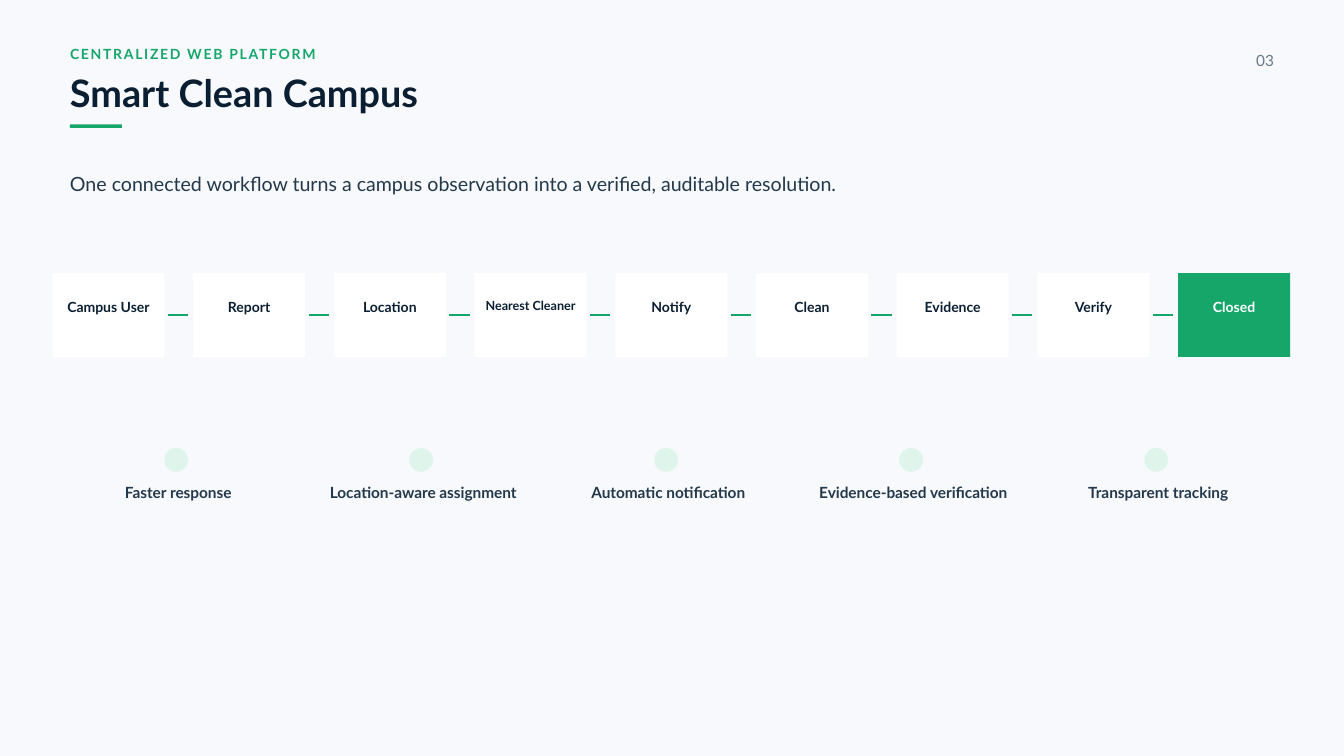
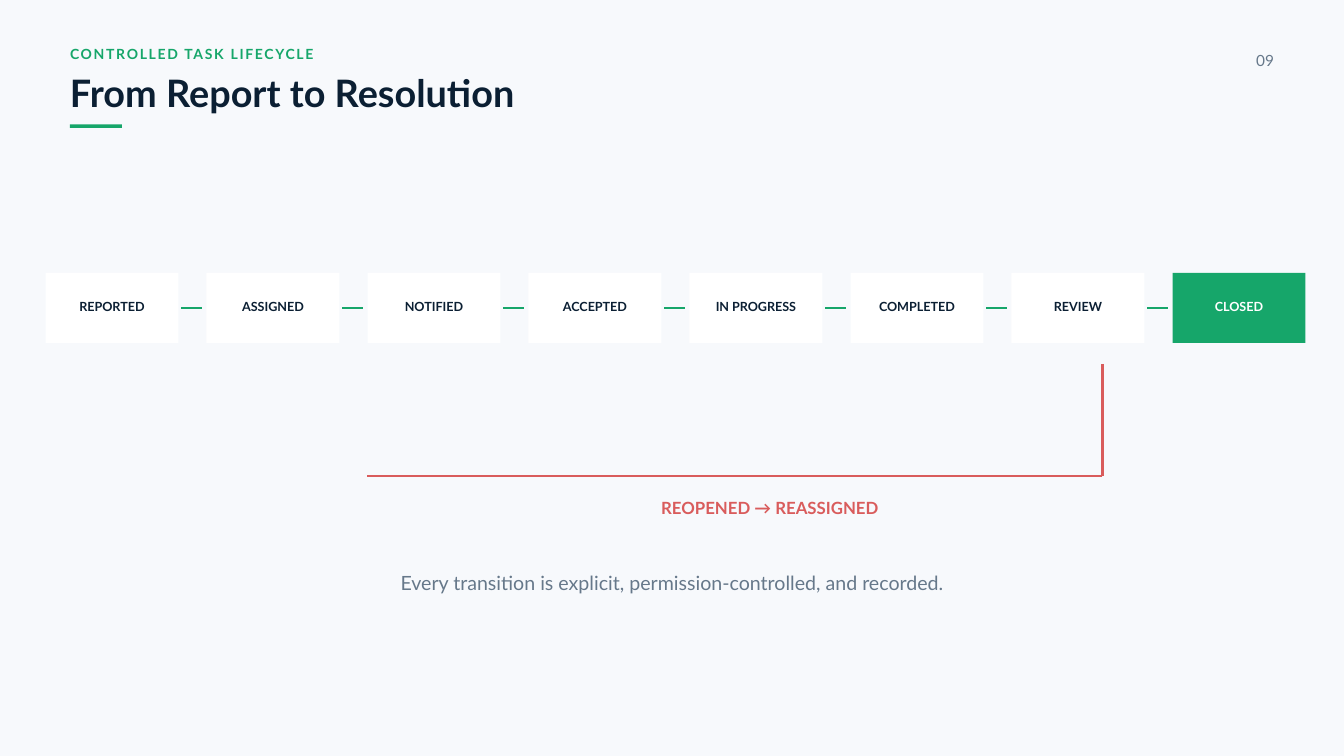
from dataclasses import dataclass

from lxml import etree
from pptx import Presentation
from pptx.dml.color import RGBColor
from pptx.enum.shapes import MSO_CONNECTOR, MSO_SHAPE
from pptx.enum.text import MSO_AUTO_SIZE, PP_ALIGN
from pptx.oxml.ns import qn
from pptx.util import Pt

STRAIGHT = MSO_CONNECTOR.STRAIGHT
RECTANGLE, OVAL = MSO_SHAPE.RECTANGLE, MSO_SHAPE.OVAL
LEFT, CENTER, RIGHT = PP_ALIGN.LEFT, PP_ALIGN.CENTER, PP_ALIGN.RIGHT
GROW = MSO_AUTO_SIZE.SHAPE_TO_FIT_TEXT

FONT = "Lato"
COLORS = {
    "background": "F7F9FC",
    "navy": "0B1F33",
    "slate": "24384B",
    "grey": "66788A",
    "green": "16A66A",
    "mint": "DFF5EB",
    "red": "D95C5C",
    "white": "FFFFFF",
}
SLIDE_WIDTH, SLIDE_HEIGHT = 1440, 810
MARGIN = 75
FLOW_TOP = 292.5


@dataclass
class Box:
    left: float
    top: float
    width: float
    height: float

    def inside(self, left, top, width, height):
        """Return a box whose offsets are measured from this box."""
        return Box(self.left + left, self.top + top, width, height)

    def lengths(self):
        return [Pt(value) for value in (self.left, self.top, self.width, self.height)]


def color(name):
    return RGBColor.from_string(COLORS[name])


def add_text(slide, box, text, size, color_name, bold=False, align=LEFT,
             leading=1.4, tracking=0):
    """Add one line of text; leading is a multiple of the size, tracking is in points."""
    text_frame = slide.shapes.add_textbox(*box.lengths()).text_frame
    text_frame.margin_left = text_frame.margin_right = 0
    text_frame.margin_top = text_frame.margin_bottom = 0
    text_frame.word_wrap = True
    text_frame.auto_size = GROW
    text_frame.text = text
    paragraph = text_frame.paragraphs[0]
    paragraph.alignment = align
    paragraph.line_spacing = Pt(size * leading)
    run = paragraph.runs[0]
    run.font.name = FONT
    run.font.size = Pt(size)
    run.font.bold = bold
    run.font.color.rgb = color(color_name)
    if tracking:
        run._r.get_or_add_rPr().set("spc", str(round(tracking * 100)))


def add_filled(slide, kind, box, color_name):
    shape = slide.shapes.add_shape(kind, *box.lengths())
    shape.shadow.inherit = False
    shape.fill.solid()
    shape.fill.fore_color.rgb = color(color_name)
    shape.line.fill.background()


def add_line(slide, start, end, color_name):
    points = [Pt(value) for value in (*start, *end)]
    connector = slide.shapes.add_connector(STRAIGHT, *points)
    connector.line.color.rgb = color(color_name)
    connector.line.width = Pt(2.25)
    etree.SubElement(connector._element.spPr, qn("a:effectLst"))


def add_header(slide, box, kicker, title):
    add_text(slide, box.inside(0, 0, 600, 19.5), kicker, 15, "green", bold=True, tracking=1.8)
    add_text(slide, box.inside(0, 35.25, box.width, 45), title, 40.5, "navy", bold=True,
             leading=1.05)
    add_filled(slide, RECTANGLE, box.inside(0, 87.4, 55.5, 3.75), "green")


def add_content_slide(presentation, kicker, title, number):
    """Add a slide with the shared background, header and page number."""
    slide = presentation.slides.add_slide(presentation.slide_layouts[6])
    slide.background.fill.solid()
    slide.background.fill.fore_color.rgb = color("background")
    add_header(slide, Box(MARGIN, 46, 1125, 91), kicker, title)
    add_text(slide, Box(SLIDE_WIDTH - MARGIN - 60, 51.75, 60, 21.75), number, 16.5, "grey",
             align=RIGHT, leading=1.35)
    return slide


def add_flow(slide, first_card, pitch, steps, link_gap, link_length, label_top,
             label_size, small_labels=()):
    """Add a row of linked cards, the last one highlighted."""
    last = len(steps) - 1
    for index, step in enumerate(steps):
        card = first_card.inside(index * pitch, 0, first_card.width, first_card.height)
        add_filled(slide, RECTANGLE, card, "green" if index == last else "white")
        size = 13.5 if step in small_labels else label_size
        add_text(slide, card.inside(7.5, label_top, card.width - 15, size * 1.35), step, size,
                 "white" if index == last else "navy", bold=True, align=CENTER)
        if index < last:
            start = card.left + card.width + link_gap
            middle = card.top + card.height / 2
            add_line(slide, (start, middle), (start + link_length, middle), "green")


def add_benefits(slide, box, benefits):
    """Spread dotted labels over the box, with equal gaps between them."""
    label_width, dot_size = 225, 25.5
    pitch = (box.width - label_width) / (len(benefits) - 1)
    for index, benefit in enumerate(benefits):
        left = index * pitch
        add_filled(slide, OVAL, box.inside(left + 97.5, 0, dot_size, dot_size), "mint")
        add_text(slide, box.inside(left, 35.5, label_width, 21.75), benefit, 16.5, "slate",
                 bold=True, align=CENTER, leading=1.35)


def add_return_path(slide, box, label):
    """Draw the way back along the right and bottom edges of the box."""
    right, bottom = box.left + box.width, box.top + box.height
    add_line(slide, (right, box.top), (right, bottom), "red")
    add_line(slide, (right, bottom), (box.left, bottom), "red")
    add_text(slide, box.inside(243.5, box.height + 19.5, 375, 24.5), label, 18, "red",
             bold=True, align=CENTER)


def build_platform_slide(presentation):
    slide = add_content_slide(presentation, "CENTRALIZED WEB PLATFORM", "Smart Clean Campus", "03")
    add_text(
        slide, Box(MARGIN, 180.75, 825, 55.5),
        "One connected workflow turns a campus observation into a verified, auditable resolution.",
        21, "slate", leading=1.35)
    steps = ["Campus User", "Report", "Location", "Nearest Cleaner", "Notify", "Clean",
             "Evidence", "Verify", "Closed"]
    add_flow(slide, Box(56.25, FLOW_TOP, 120, 90), 150.75, steps, link_gap=3.75,
             link_length=21.75, label_top=24.4, label_size=15,
             small_labels=("Nearest Cleaner",))
    add_benefits(slide, Box(78.5, 480, 1275, 57.5), [
        "Faster response", "Location-aware assignment", "Automatic notification",
        "Evidence-based verification", "Transparent tracking"])


def build_lifecycle_slide(presentation):
    slide = add_content_slide(presentation, "CONTROLLED TASK LIFECYCLE",
                              "From Report to Resolution", "09")
    steps = ["REPORTED", "ASSIGNED", "NOTIFIED", "ACCEPTED", "IN PROGRESS", "COMPLETED",
             "REVIEW", "CLOSED"]
    add_flow(slide, Box(48.75, FLOW_TOP, 142.5, 75), 172.5, steps, link_gap=3,
             link_length=22.5, label_top=25, label_size=13.5)
    add_return_path(slide, Box(393.75, 390, 787.5, 120), "REOPENED → REASSIGNED")
    add_text(slide, Box(270, 608.25, 900, 27.5),
             "Every transition is explicit, permission-controlled, and recorded.",
             21, "grey", align=CENTER, leading=1.35)


def main():
    presentation = Presentation()
    presentation.slide_width = Pt(SLIDE_WIDTH)
    presentation.slide_height = Pt(SLIDE_HEIGHT)
    build_platform_slide(presentation)
    build_lifecycle_slide(presentation)
    presentation.save("out.pptx")


if __name__ == "__main__":
    main()
